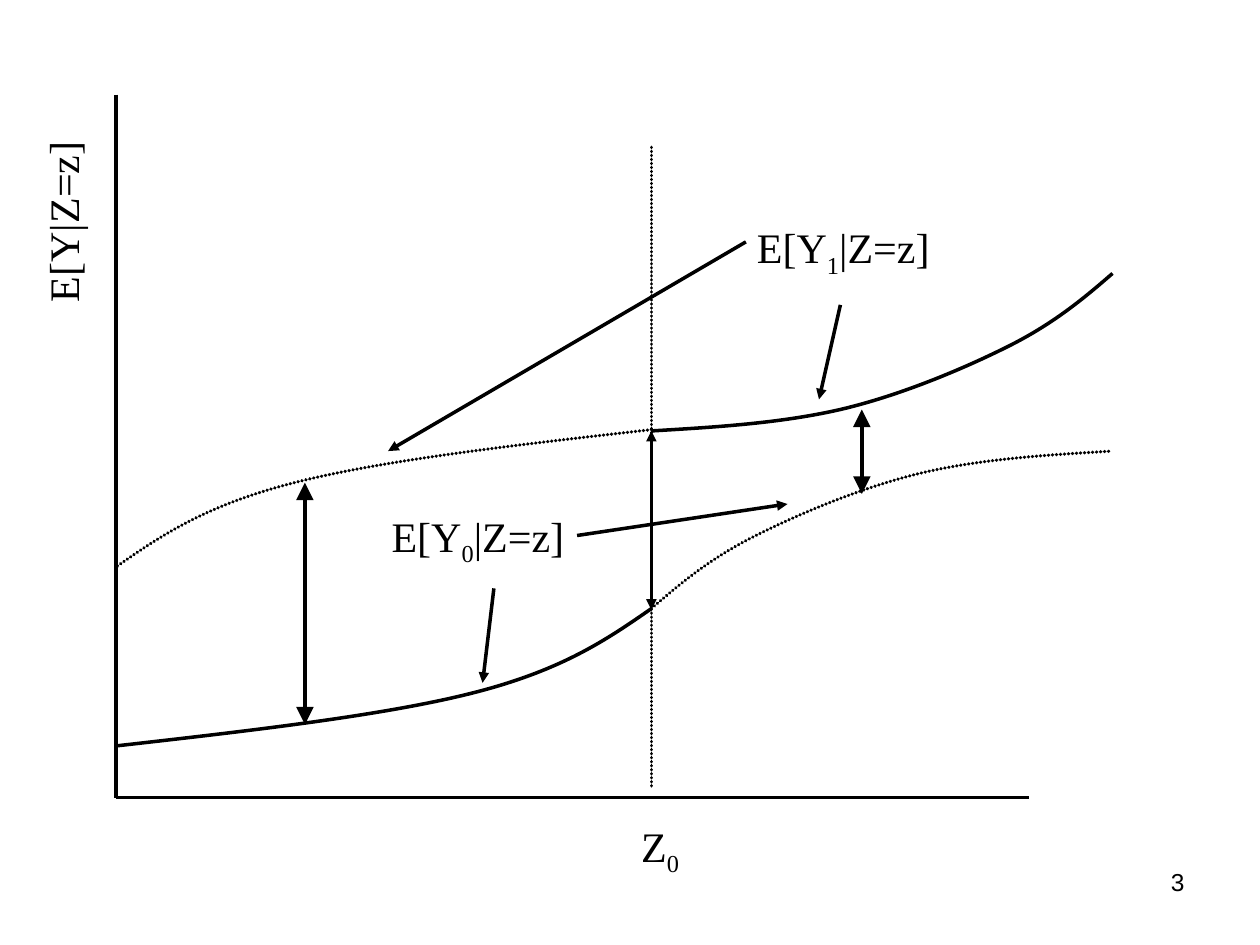
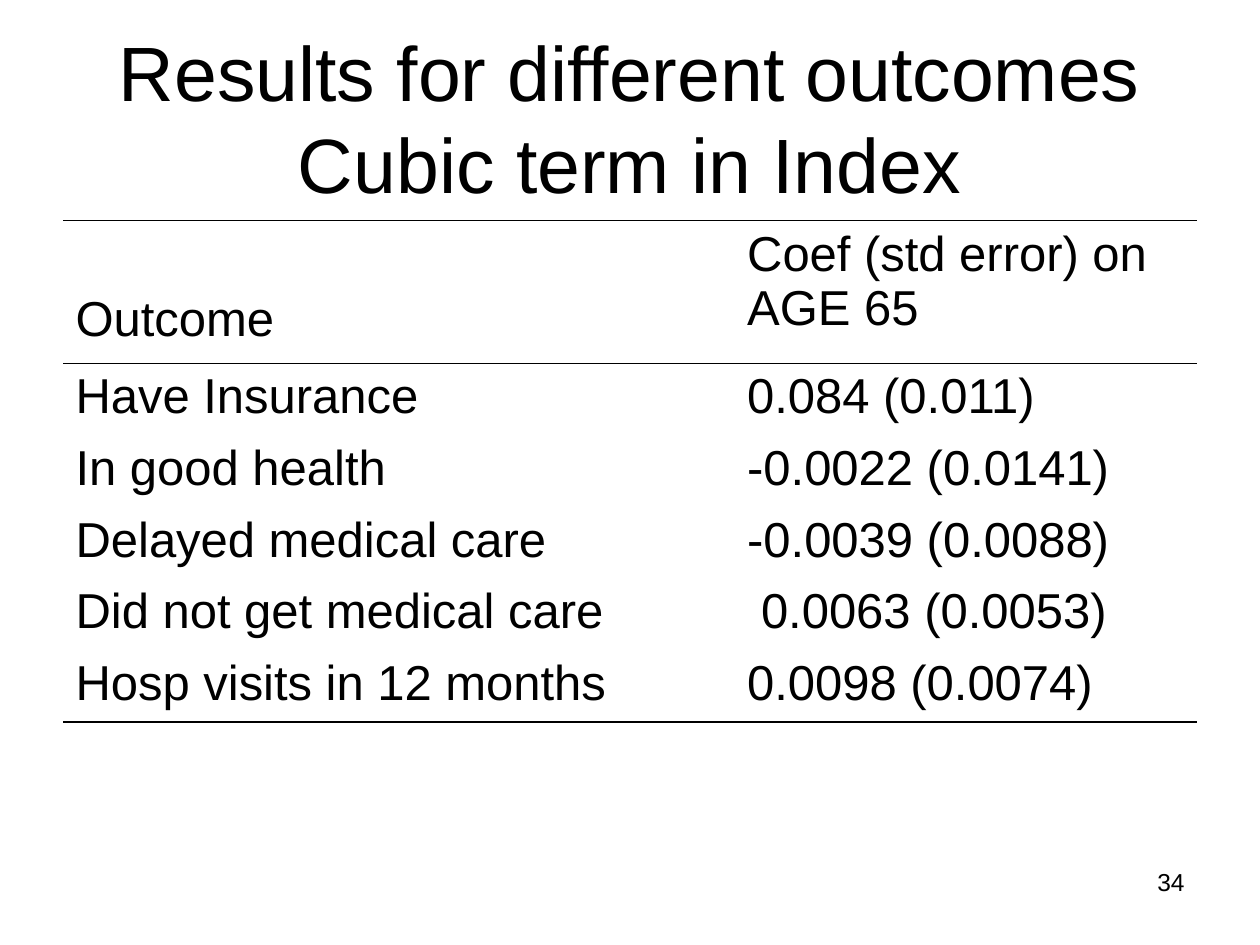
"""Build two slides: a regression discontinuity graph and a results table."""
from lxml import etree
from pptx import Presentation, util as u
from pptx.dml.color import RGBColor
from pptx.enum import shapes, text as tx
from pptx.oxml.ns import qn

THEME = {
    "ink": RGBColor(0, 0, 0),
    "sans": "Arial", "serif": "Times New Roman",
    "title": 44, "cell": 28, "label": 24, "page": 14,
    "stroke": 2, "rule": 1.08, "thin": 0.45,
    "dot": {"d": "100000", "sp": "14000"},
}

AXES = [(0.92, 0.75, 0.92, 6.33), (0.92, 6.33, 8.17, 6.33)]
CUTOFF = (5.17, 1.17, 5.17, 6.25)
CURVES = [
    {"nodes": [(0.92, 5.92), (1.98, 5.8), (3.04, 5.68), (3.75, 5.5),
               (4.46, 5.32), (4.81, 5.08), (5.17, 4.83)],
     "dots": False, "turn": (6.09, 9.33)},
    {"nodes": [(5.17, 4.83), (5.4, 4.63), (5.64, 4.43), (6, 4.25),
               (6.36, 4.07), (6.86, 3.86), (7.33, 3.75),
               (7.81, 3.64), (8.32, 3.61), (8.83, 3.58)],
     "dots": True, "turn": (14, 7)},
]
LABELS = [
    ("E[Y|Z=z]", "", "", (-0.24, 1.51, 1.47, 0.5), 270),
    ("Z", "0", "", (4.99, 6.46, 0.5, 0.56), 0),
    ("E[Y", "1", "|Z=z]", (5.91, 1.71, 1.57, 0.56), 0),
    ("E[Y", "0", "|Z=z]", (3.01, 4, 1.57, 0.56), 0),
]
POINTERS = [(6.67, 2.42, 6.5, 3.17), (3.92, 4.67, 3.83, 5.42),
            (5.92, 1.92, 3.08, 3.58), (4.58, 4.25, 6.25, 4)]
GAPS = [((5.17, 3.42, 5.17, 4.84), "med"),
        ((2.42, 3.83, 2.42, 5.75), "lg"),
        ((6.84, 3.25, 6.84, 3.92), "lg")]

TITLE = "Results for different outcomes\vCubic term in Index"
ROWS = [
    ("Outcome", "Coef (std error) on AGE 65"),
    ("Have Insurance", "0.084 (0.011)"),
    ("In good health", "-0.0022 (0.0141)"),
    ("Delayed medical care", "-0.0039 (0.0088)"),
    ("Did not get medical care", "0.0063 (0.0053)"),
    ("Hosp visits in 12 months", "0.0098 (0.0074)"),
]
WIDTHS = (5.33, 3.67)
HEAD, BODY = 1.13, 0.57
INSETS = {(0, 0): {"margin_top": u.Inches(0.57)},
          (4, 1): {"margin_left": u.Inches(0.21)}}


def put(obj, vals):
    for key, val in vals.items():
        setattr(obj, key, val)


def inches(box):
    return [u.Inches(val) for val in box]


def style(para, size, face):
    for run in para.runs:
        put(run.font, {"size": u.Pt(THEME[size]), "name": THEME[face]})
        run.font.color.rgb = THEME["ink"]


def write(slide, words, box, size, face, frame, align=tx.PP_ALIGN.LEFT, sub="",
          rest=""):
    shape = slide.shapes.add_textbox(*inches(box))
    put(shape.text_frame, frame)
    shape.text_frame.text = words
    para = shape.text_frame.paragraphs[0]
    para.alignment = align
    for part, base in ((sub, "-25000"), (rest, "0")):
        if part:
            run = para.add_run()
            run.text = part
            run.font._element.set("baseline", base)
    style(para, size, face)
    return shape


def stroke(shape, dots=False):
    shape.line.color.rgb = THEME["ink"]
    shape.line.width = u.Pt(THEME["stroke"])
    if dots:
        pen = shape.line._get_or_add_ln()
        pen.set("cap", "rnd")
        dash = etree.SubElement(pen, qn("a:custDash"))
        etree.SubElement(dash, qn("a:ds"), THEME["dot"])


def line(slide, ends, dots=False, heads=(), size="med"):
    link = slide.shapes.add_connector(shapes.MSO_CONNECTOR.STRAIGHT,
                                      *inches(ends))
    stroke(link, dots)
    pen = link.line._get_or_add_ln()
    for head in heads:
        etree.SubElement(pen, qn("a:" + head), type="triangle",
                         w=size, len=size)
    etree.SubElement(link._element.spPr, qn("a:effectLst"))


def curve(slide, nodes, dots):
    pts = [inches(pt) for pt in nodes]
    pen = slide.shapes.build_freeform(*pts[0])
    pen.add_line_segments(pts[1:], close=False)
    shape = pen.convert_to_shape()
    steps = list(shape._element.iter(qn("a:lnTo")))
    route = steps[0].getparent()
    for pos in range(0, len(steps), 3):
        bend = etree.SubElement(route, qn("a:cubicBezTo"))
        for step in steps[pos:pos + 3]:
            bend.append(step[0])
            route.remove(step)
    shape.shadow.inherit = False
    shape.fill.background()
    stroke(shape, dots)


def border(cell, rules):
    props = cell._tc.get_or_add_tcPr()
    for spot, side in enumerate(("lnL", "lnR", "lnT", "lnB")):
        edge = etree.Element(qn("a:" + side))
        if side in rules:
            edge.set("w", str(int(u.Pt(THEME[rules[side]]))))
            fill = etree.SubElement(edge, qn("a:solidFill"))
            etree.SubElement(fill, qn("a:srgbClr"), val=str(THEME["ink"]))
        else:
            etree.SubElement(edge, qn("a:noFill"))
        props.insert(spot, edge)


def page(deck, num):
    slide = deck.slides.add_slide(deck.slide_layouts[6])
    write(slide, num, (7.17, 6.83, 2.33, 0.52), "page", "sans",
          {"word_wrap": True}, tx.PP_ALIGN.RIGHT)
    return slide


def graph(deck):
    slide = page(deck, "3")
    for axis in AXES:
        line(slide, axis)
    for item in CURVES:
        nodes, (dx, dy) = item["nodes"], item["turn"]
        curve(slide, nodes, item["dots"])
        curve(slide, [(dx - x, dy - y) for x, y in nodes], not item["dots"])
    line(slide, CUTOFF, dots=True)
    fit = {"word_wrap": False, "auto_size": tx.MSO_AUTO_SIZE.SHAPE_TO_FIT_TEXT}
    for words, sub, rest, box, turn in LABELS:
        label = write(slide, words, box, "label", "serif", fit,
                      sub=sub, rest=rest)
        label.rotation = turn
    for ends in POINTERS:
        line(slide, ends, heads=("tailEnd",))
    for ends, size in GAPS:
        line(slide, ends, heads=("headEnd", "tailEnd"), size=size)


def results(deck):
    slide = page(deck, "34")
    write(slide, TITLE, (0.5, 0.3, 9, 1.25), "title", "sans",
          {"word_wrap": True, "vertical_anchor": tx.MSO_ANCHOR.MIDDLE},
          tx.PP_ALIGN.CENTER)
    last = len(ROWS) - 1
    box = (0.5, 1.75, sum(WIDTHS), HEAD + BODY * last)
    grid = slide.shapes.add_table(len(ROWS), len(WIDTHS), *inches(box)).table
    put(grid, {"first_row": False, "horz_banding": False})
    for col, width in zip(grid.columns, WIDTHS):
        col.width = u.Inches(width)
    rules = {0: {"lnT": "rule", "lnB": "thin"}, 1: {"lnT": "thin"},
             last: {"lnB": "rule"}}
    for r, row in enumerate(ROWS):
        grid.rows[r].height = u.Inches(BODY if r else HEAD)
        for c, words in enumerate(row):
            cell = grid.cell(r, c)
            cell.text = words
            put(cell, INSETS.get((r, c), {}))
            cell.fill.background()
            border(cell, rules.get(r, {}))
            style(cell.text_frame.paragraphs[0], "cell", "sans")


def main():
    deck = Presentation()
    put(deck, {"slide_width": u.Inches(10), "slide_height": u.Inches(7.5)})
    graph(deck)
    results(deck)
    deck.save("out.pptx")


if __name__ == "__main__":
    main()
